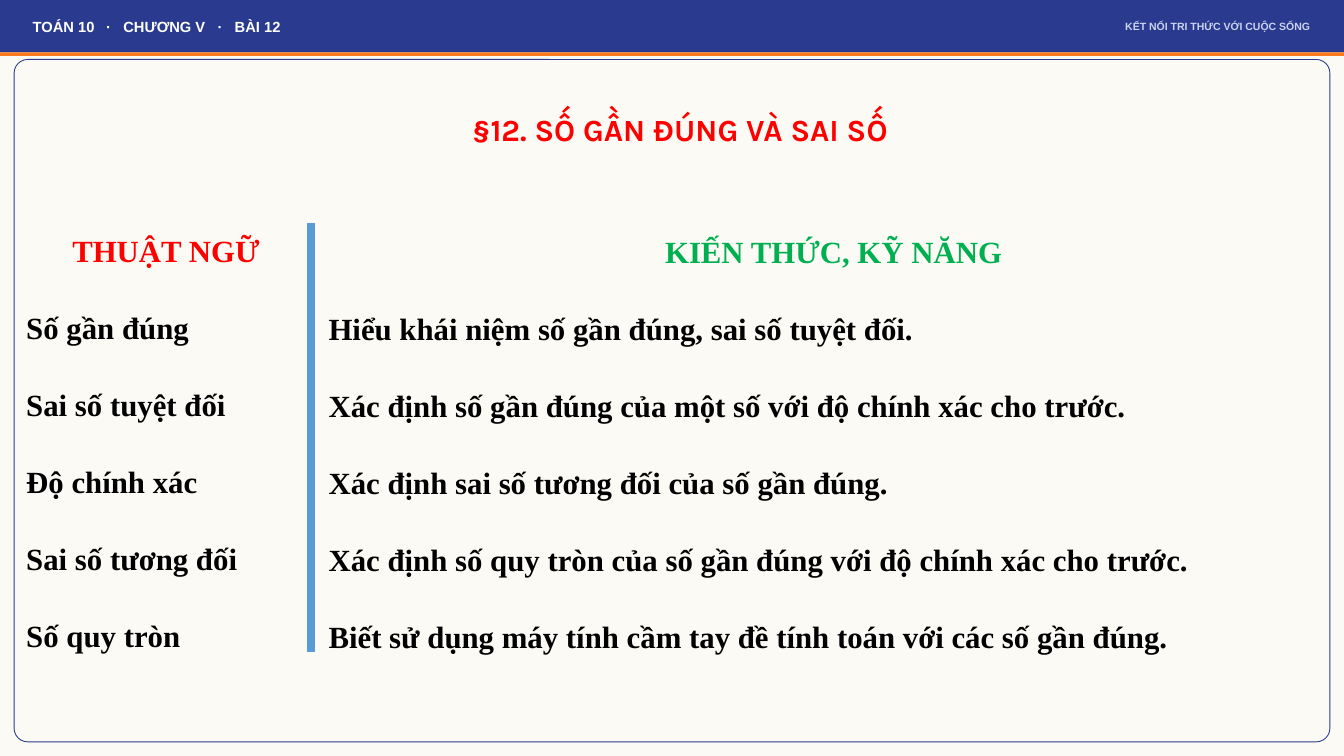
from dataclasses import dataclass

from pptx import Presentation
from pptx import util as u
from pptx.dml.color import RGBColor
from pptx.enum import shapes, text
from pptx.oxml.ns import qn
from lxml import etree


@dataclass(frozen=True)
class Theme:
    paper: str = "FBFAF4"
    navy: str = "2A3B8F"
    orange: str = "FF7A1A"
    blue: str = "5B9BD5"
    red: str = "FF0000"
    green: str = "00B050"
    black: str = "000000"
    white: str = "FFFFFF"
    pale: str = "CAD3F0"
    title_font: str = "Karla"
    body_font: str = "Times New Roman"
    band_font: str = "Arial"
    large: int = 44
    medium: int = 21
    small: int = 15


THEME = Theme()
WIDTH, HEIGHT = 26.67, 15
BAND = 1.04
TERMS = ["Số gần đúng", "Sai số tuyệt đối", "Độ chính xác", "Sai số tương đối", "Số quy tròn"]
SKILLS = [
    "Hiểu khái niệm số gần đúng, sai số tuyệt đối.",
    "Xác định số gần đúng của một số với độ chính xác cho trước.",
    "Xác định sai số tương đối của số gần đúng.",
    "Xác định số quy tròn của số gần đúng với độ chính xác cho trước.",
    "Biết sử dụng máy tính cầm tay đề tính toán với các số gần đúng.",
]


class SlideBuilder:
    def __init__(self, slide, theme):
        self.slide = slide
        self.theme = theme

    def place(self, shape, left, top, width, height):
        shape.left, shape.top = u.Inches(left), u.Inches(top)
        shape.width, shape.height = u.Inches(width), u.Inches(height)

    def add_span(self, para, words, font, size, color, align=text.PP_ALIGN.LEFT):
        para.alignment = align
        span = para.add_run()
        span.text = words
        span.font.name, span.font.size, span.font.bold = font, u.Pt(size), True
        span.font.color.rgb = RGBColor.from_string(color)

    def panel(self, area, fill=None, line=None, kind=shapes.MSO_SHAPE.RECTANGLE):
        shape = self.slide.shapes.add_shape(kind, *map(u.Inches, area))
        shape.shadow.inherit = False
        if fill:
            shape.fill.solid()
            shape.fill.fore_color.rgb = RGBColor.from_string(fill)
        else:
            shape.fill.background()
        if line:
            shape.line.color.rgb = RGBColor.from_string(line)
            shape.line.width = u.Pt(1.25)
        else:
            shape.line.fill.background()
        return shape

    def backdrop(self, fill):
        """Fill the slide with a panel that lies behind the placeholders."""
        shape = self.panel((0, 0, WIDTH, HEIGHT), fill)
        self.slide.shapes._spTree.insert(2, shape._element)

    def title(self, words, area):
        box = self.slide.shapes.title
        self.place(box, *area)
        frame = box.text_frame
        frame.auto_size = text.MSO_AUTO_SIZE.NONE
        frame.vertical_anchor = text.MSO_ANCHOR.MIDDLE
        para = frame.paragraphs[0]
        para.line_spacing = 1.2
        self.add_span(para, words, self.theme.title_font, self.theme.large,
                      self.theme.red, text.PP_ALIGN.CENTER)

    def column(self, index, area, heading, color, items):
        """Fill a body placeholder with a centred heading and unbulleted lines."""
        box = self.slide.placeholders[index]
        self.place(box, *area)
        frame = box.text_frame
        frame.auto_size = text.MSO_AUTO_SIZE.NONE
        for number, words in enumerate([heading, *items]):
            para = frame.add_paragraph() if number else frame.paragraphs[0]
            para.line_spacing = 2.0
            para.space_before = u.Pt(4.4 if number else 0)
            props = para._p.get_or_add_pPr()
            props.set("marL", "0")
            props.set("indent", "0")
            etree.SubElement(props, qn("a:buNone"))
            self.add_span(para, words, self.theme.body_font, self.theme.large,
                          self.theme.black if number else color,
                          text.PP_ALIGN.LEFT if number else text.PP_ALIGN.CENTER)

    def divider(self, x, top, bottom):
        line = self.slide.shapes.add_connector(
            shapes.MSO_CONNECTOR.STRAIGHT, *map(u.Inches, (x, top, x, bottom)))
        line.line.color.rgb = RGBColor.from_string(self.theme.blue)
        line.line.width = u.Pt(12)
        etree.SubElement(line._element.spPr, qn("a:effectLst"))

    def label(self, words, area, size, color, align=text.PP_ALIGN.LEFT, tabs=()):
        box = self.slide.shapes.add_textbox(*map(u.Inches, area))
        frame = box.text_frame
        frame.word_wrap = True
        frame.margin_top = frame.margin_bottom = 0
        frame.vertical_anchor = text.MSO_ANCHOR.MIDDLE
        para = frame.paragraphs[0]
        if tabs:
            stops = etree.SubElement(para._p.get_or_add_pPr(), qn("a:tabLst"))
            for stop in tabs:
                etree.SubElement(stops, qn("a:tab"), pos=str(u.Inches(stop)), algn="l")
        self.add_span(para, words, self.theme.band_font, size, color, align)


def main():
    deck = Presentation()
    deck.slide_width, deck.slide_height = u.Inches(WIDTH), u.Inches(HEIGHT)
    two_content = deck.slide_layouts[3]
    page = SlideBuilder(deck.slides.add_slide(two_content), THEME)

    page.backdrop(THEME.paper)
    page.title("§12. SỐ GẦN ĐÚNG VÀ SAI SỐ", (1.79, 1.74, 23.4, 1.51))
    page.column(1, (0.42, 3.82, 5.75, 9.18), "THUẬT NGỮ", THEME.red, TERMS)
    page.column(2, (6.42, 3.83, 20.25, 9.03), "KIẾN THỨC, KỸ NĂNG", THEME.green, SKILLS)
    page.divider(6.17, 4.43, 12.93)

    border = page.panel((0.28, 1.18, 26.11, 13.54), line=THEME.navy,
                        kind=shapes.MSO_SHAPE.ROUNDED_RECTANGLE)
    border.adjustments[0] = 0.02
    page.panel((0, 0, WIDTH, BAND), THEME.navy)
    page.panel((0, BAND, WIDTH, 0.07), THEME.orange)
    page.label("TOÁN 10\t·\tCHƯƠNG V\t·\tBÀI 12", (0.55, 0, 13, BAND),
               THEME.medium, THEME.white, tabs=(1.46, 1.8, 3.67, 4.01))
    page.label("KẾT NỐI TRI THỨC VỚI CUỘC SỐNG", (13, 0, 13.1, BAND),
               THEME.small, THEME.pale, text.PP_ALIGN.RIGHT)
    deck.save("out.pptx")


if __name__ == "__main__":
    main()
